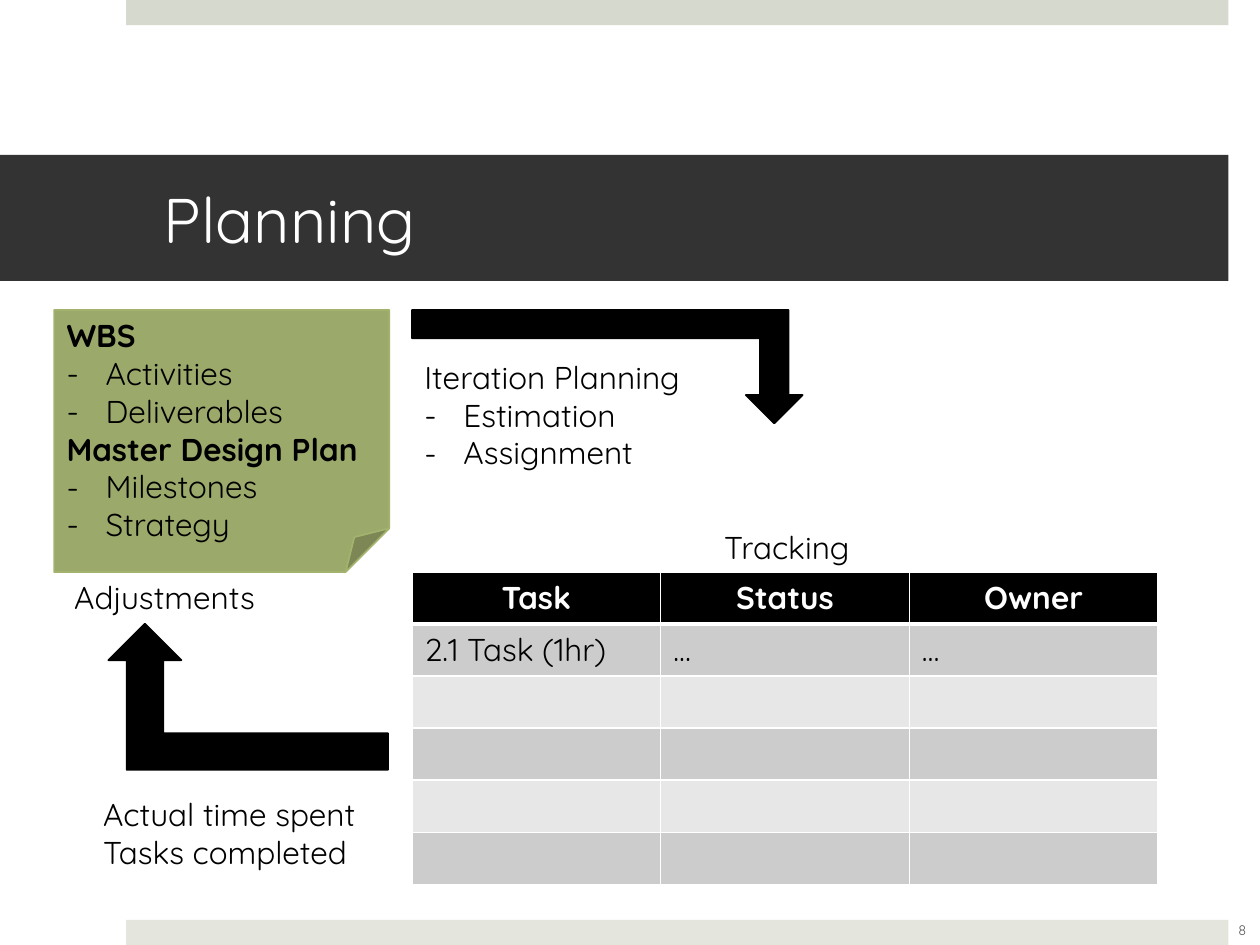
from lxml import etree
from pptx import Presentation
from pptx.dml.color import RGBColor
from pptx.enum.shapes import MSO_SHAPE
from pptx.enum.text import MSO_ANCHOR, MSO_AUTO_SIZE, PP_ALIGN
from pptx.oxml.ns import qn
from pptx.util import Inches, Pt

BLACK, WHITE = "000000", "FFFFFF"


def rgb(value):
    return RGBColor.from_string(value)


def paint(fill, value):
    fill.solid()
    fill.fore_color.rgb = rgb(value)


class PlanningSlide:
    font = "Quicksand"
    indent = 0.31

    def __init__(self, presentation):
        self.slide = presentation.slides.add_slide(presentation.slide_layouts[6])

    def add_lines(self, frame, lines, size=18, color=BLACK, align=PP_ALIGN.LEFT, bold=False):
        """Lines that start with '- ' become bullets, with '*' bold headings."""
        for i, line in enumerate(lines):
            paragraph = frame.paragraphs[0] if i == 0 else frame.add_paragraph()
            paragraph.alignment = align
            run = paragraph.add_run()
            run.text = line.removeprefix("- ").removeprefix("*")
            run.font.name, run.font.size = self.font, Pt(size)
            run.font.color.rgb = rgb(color)
            run.font.bold = bold or line.startswith("*")
            if line.startswith("- "):
                self.bullet(paragraph)

    def bullet(self, paragraph):
        properties = paragraph._p.get_or_add_pPr()
        properties.set("marL", str(Inches(self.indent)))
        properties.set("indent", str(-Inches(self.indent)))
        etree.SubElement(properties, qn("a:buFont")).set("typeface", self.font)
        etree.SubElement(properties, qn("a:buChar")).set("char", "-")

    def shape(self, kind, box, fill, line=None):
        shape = self.slide.shapes.add_shape(kind, *map(Inches, box))
        shape.shadow.inherit = False
        paint(shape.fill, fill)
        if line:
            shape.line.color.rgb = rgb(line)
            shape.line.width = Pt(1)
        else:
            shape.line.fill.background()
        return shape

    def bent_arrow(self, box, flip):
        arrow = self.shape(MSO_SHAPE.BENT_UP_ARROW, box, BLACK, BLACK)
        arrow.rotation = 180
        arrow.element.spPr.find(qn("a:xfrm")).set(flip, "1")

    def title(self, box, text):
        frame = self.shape(MSO_SHAPE.RECTANGLE, box, "333333").text_frame
        frame.margin_left, frame.margin_right = Inches(1.3), Inches(0.3)
        frame.vertical_anchor = MSO_ANCHOR.MIDDLE
        self.add_lines(frame, [text], 36, WHITE)

    def note(self, box, lines):
        frame = self.shape(MSO_SHAPE.FOLDED_CORNER, box, "9BA96B", "A3B36E").text_frame
        frame.vertical_anchor = MSO_ANCHOR.TOP
        self.add_lines(frame, lines)

    def label(self, box, lines, **style):
        frame = self.slide.shapes.add_textbox(*map(Inches, box)).text_frame
        frame.word_wrap = False
        frame.auto_size = MSO_AUTO_SIZE.SHAPE_TO_FIT_TEXT
        self.add_lines(frame, lines, **style)

    def page_number(self, box, text):
        frame = self.slide.shapes.add_textbox(*map(Inches, box)).text_frame
        frame.word_wrap = True
        frame.vertical_anchor = MSO_ANCHOR.MIDDLE
        self.add_lines(frame, [text], 8, "595959", PP_ALIGN.CENTER)

    def borders(self, cell, top, bottom):
        properties = cell._tc.get_or_add_tcPr()
        sides = (("lnL", 1), ("lnR", 1), ("lnT", top), ("lnB", bottom))
        for i, (side, width) in enumerate(sides):
            line = etree.Element(qn(f"a:{side}"), w=str(Pt(width)))
            solid = etree.SubElement(line, qn("a:solidFill"))
            etree.SubElement(solid, qn("a:srgbClr")).set("val", WHITE)
            properties.insert(i, line)

    def table(self, box, rows):
        table = self.slide.shapes.add_table(
            len(rows), len(rows[0]), *map(Inches, box)).table
        header_style = dict(color=WHITE, align=PP_ALIGN.CENTER, bold=True)
        for r, row in enumerate(rows):
            for c, text in enumerate(row):
                cell = table.cell(r, c)
                paint(cell.fill, ("E7E7E7", "CCCCCC")[r % 2] if r else BLACK)
                self.borders(cell, 3 if r == 1 else 1, 1 if r else 3)
                if text:
                    self.add_lines(cell.text_frame, [text], **({} if r else header_style))


prs = Presentation()
prs.slide_width, prs.slide_height = Inches(10), Inches(7.5)
page = PlanningSlide(prs)

# Frame: edge bars, title band, page number
for top, color in ((0, "D6D9CD"), (7.3, "E4E6DE")):
    page.shape(MSO_SHAPE.RECTANGLE, (1, top, 8.75, 0.2), color)
page.title((0, 1.23, 9.75, 1), "Planning")
page.page_number((9.61, 7.18, 0.5, 0.4), "8")

# Tracking table
page.table((3.27, 4.54, 5.92, 2.48), [
    ["Task", "Status", "Owner"],
    ["2.1 Task (1hr)", "…", "…"],
    *[[""] * 3 for _ in range(4)],
])
page.label((5.64, 4.14, 1.21, 0.4), ["Tracking"], align=PP_ALIGN.CENTER)

# Arrows of the planning cycle
page.bent_arrow((3.27, 2.46, 3.1, 0.9), "flipH")
page.bent_arrow((0.86, 4.95, 2.22, 1.16), "flipV")

# Labels beside the arrows
page.label((0.49, 4.54, 1.69, 0.4), ["Adjustments"])
page.label((0.72, 6.26, 2.36, 0.71), ["Actual time spent", "Tasks completed"])
page.label((3.27, 2.79, 2.34, 1.01),
           ["Iteration Planning", "- Estimation", "- Assignment"])

# Plan note
page.note((0.43, 2.46, 2.66, 2.08), [
    "*WBS", "- Activities", "- Deliverables",
    "*Master Design Plan", "- Milestones", "- Strategy",
])

prs.save("out.pptx")
